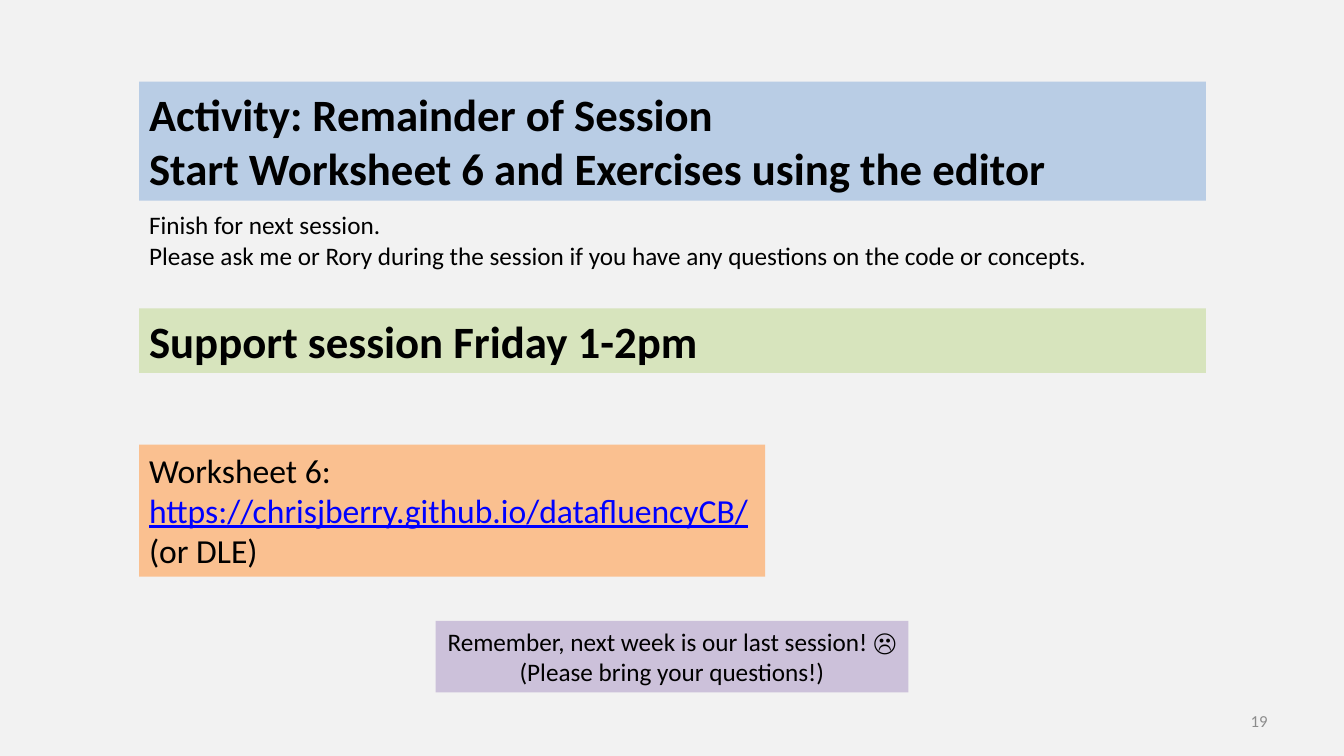
"""Build the closing activity slide with coloured notice panels."""
from pptx import Presentation
from pptx.dml.color import RGBColor
from pptx.enum import text as t

PX = 9144
BACKGROUND = RGBColor(0xF2, 0xF2, 0xF2)
BLUE = RGBColor(0xB9, 0xCD, 0xE5)
GREEN = RGBColor(0xD7, 0xE4, 0xBD)
ORANGE = RGBColor(0xFA, 0xC0, 0x90)
PURPLE = RGBColor(0xCC, 0xC1, 0xDA)
BLACK = RGBColor(0x00, 0x00, 0x00)
GREY = RGBColor(0x8C, 0x8C, 0x8C)
LINK = RGBColor(0x00, 0x00, 0xFF)
LEFT, WIDTH = 138, 1058

deck = Presentation()
deck.slide_width, deck.slide_height = 1333 * PX, 750 * PX
page = deck.slides.add_slide(deck.slide_layouts[6])
page.background.fill.solid()
page.background.fill.fore_color.rgb = BACKGROUND


def add_text(lines, *, at, size, fill=None, color=BLACK, bold=False, wrap=True,
             align=t.PP_ALIGN.LEFT, anchor=t.MSO_ANCHOR.TOP):
    box = page.shapes.add_textbox(*(length * PX for length in at))
    if fill is not None:
        box.fill.solid()
        box.fill.fore_color.rgb = fill
    frame = box.text_frame
    frame.word_wrap = wrap
    frame.vertical_anchor = anchor
    for index, line in enumerate(lines):
        para = frame.add_paragraph() if index else frame.paragraphs[0]
        para.text = line
        para.alignment = align
        is_link = line.startswith("https://")
        for span in para.runs:
            span.font.name = "Calibri"
            span.font.size = size * 12700
            span.font.bold = bold
            span.font.underline = is_link
            span.font.color.rgb = LINK if is_link else color


add_text(["19"], at=(956, 695, 311, 40), size=12, color=GREY,
         align=t.PP_ALIGN.RIGHT, anchor=t.MSO_ANCHOR.MIDDLE)
add_text(["Activity: Remainder of Session",
          "Start Worksheet 6 and Exercises using the editor"],
         at=(LEFT, 81, WIDTH, 118), size=32, fill=BLUE, bold=True)
add_text(["Support session Friday 1-2pm"],
         at=(LEFT, 306, WIDTH, 64), size=32, fill=GREEN, bold=True)
add_text(["Worksheet 6:", "https://chrisjberry.github.io/datafluencyCB/", "(or DLE)"],
         at=(LEFT, 441, 621, 131), size=24, fill=ORANGE, wrap=False)
add_text(["Finish for next session.\vPlease ask me or Rory during the session "
          "if you have any questions on the code or concepts."],
         at=(LEFT, 203, 953, 71), size=18, wrap=False)
add_text(["Remember, next week is our last session! ☹\v(Please bring your questions!)"],
         at=(432, 616, 469, 71), size=18, fill=PURPLE, wrap=False,
         align=t.PP_ALIGN.CENTER)

deck.save("out.pptx")
